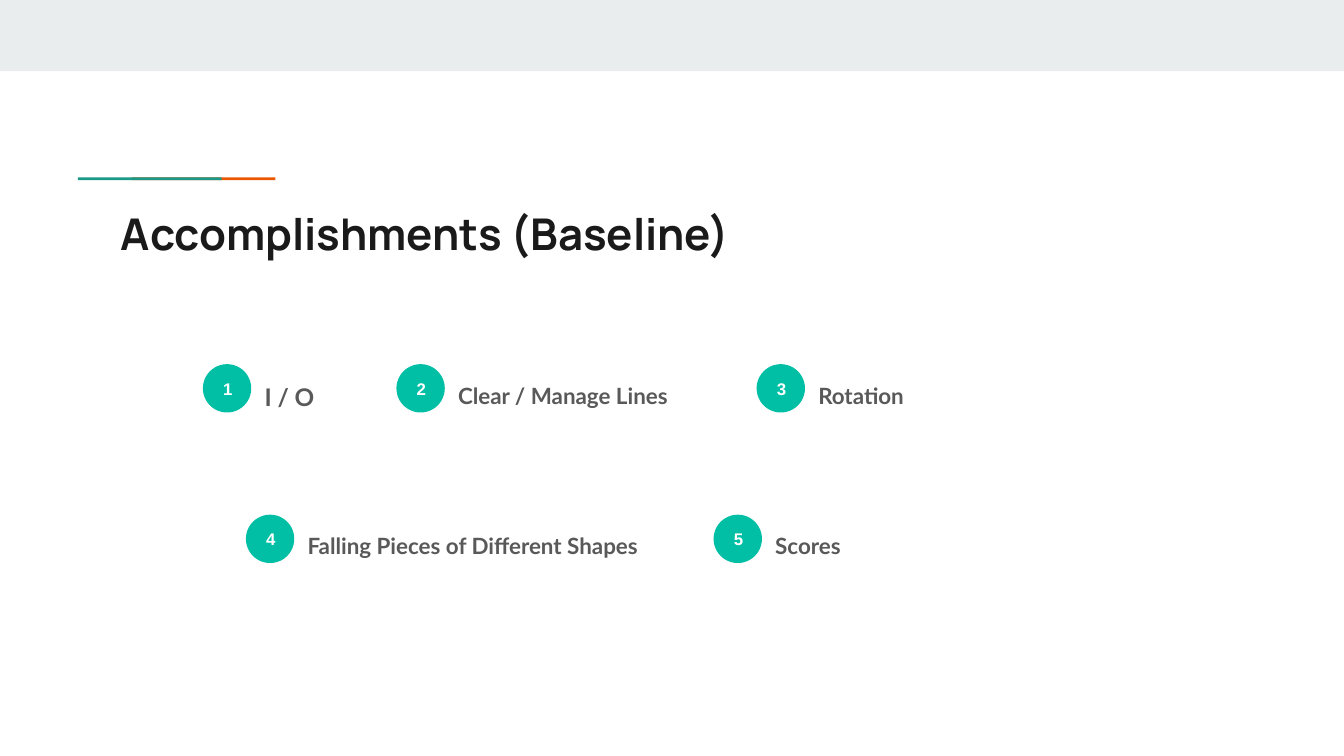
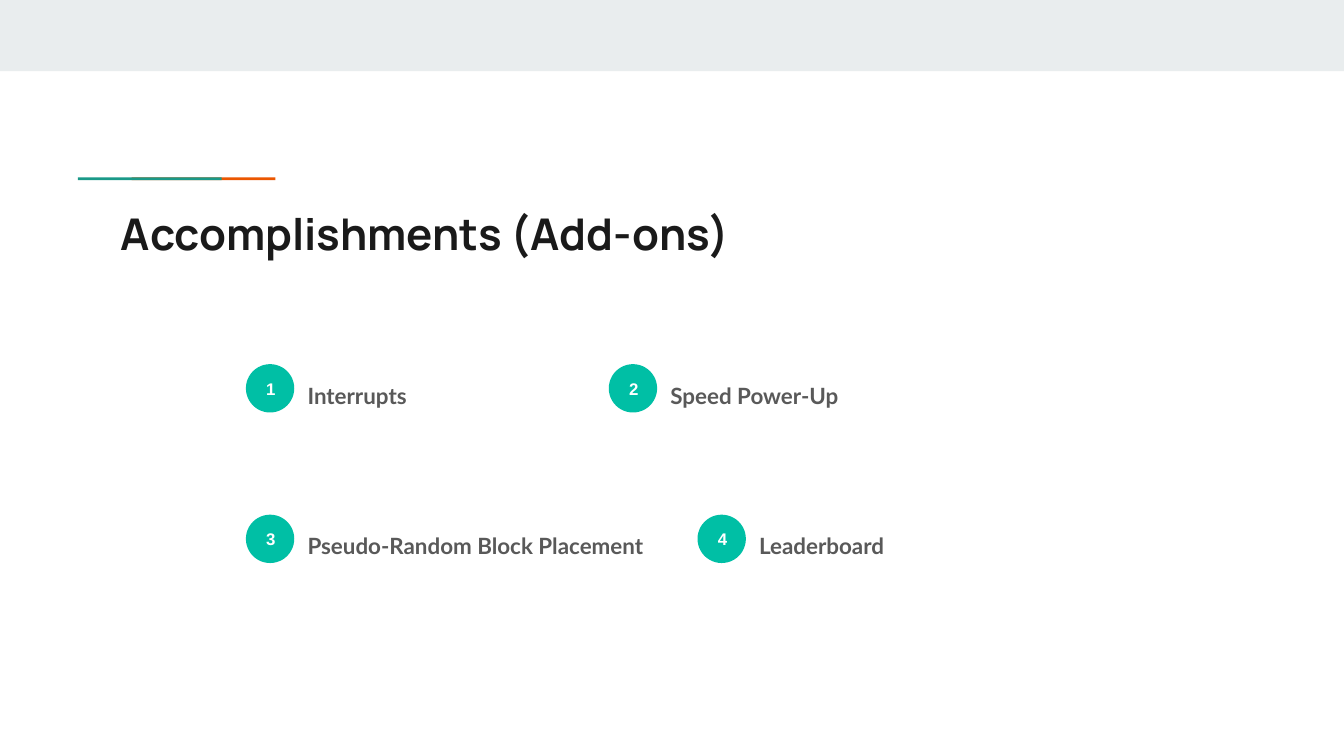
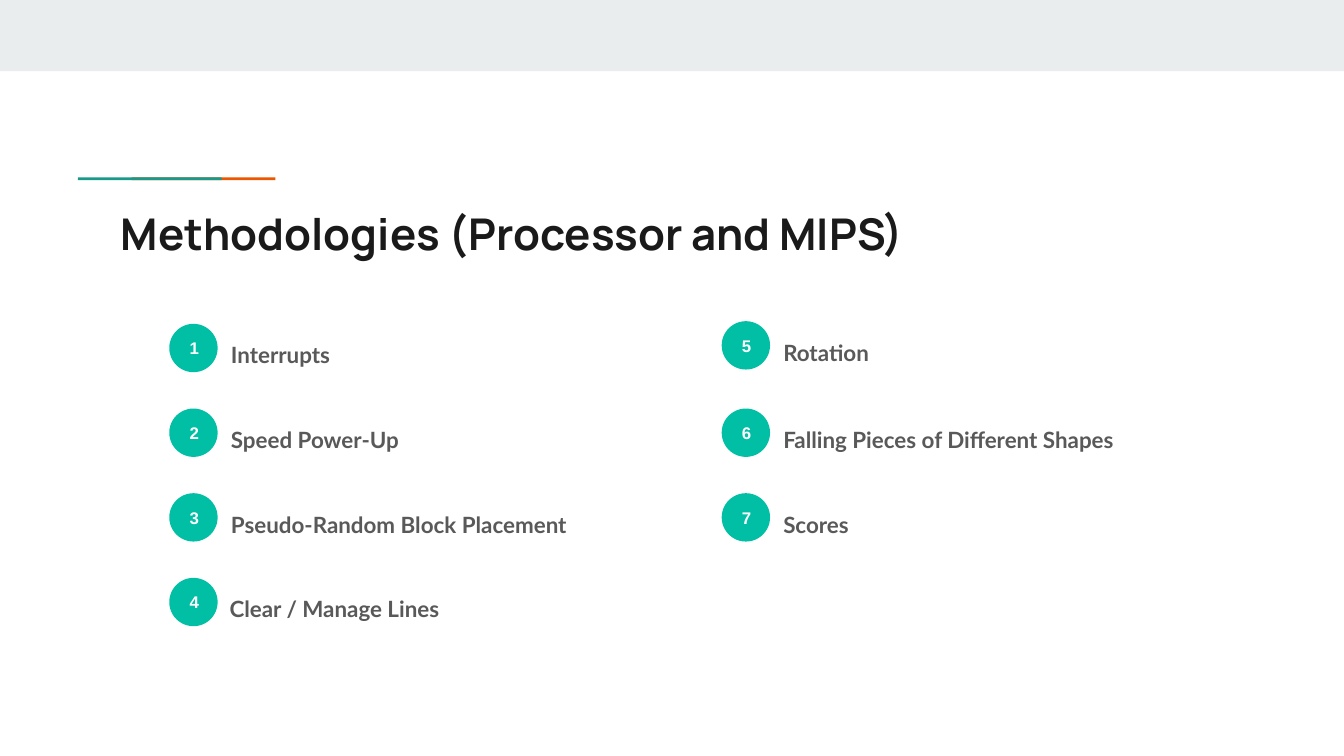
from dataclasses import dataclass

from pptx import Presentation
from pptx.dml.color import RGBColor
from pptx.enum.shapes import MSO_SHAPE
from pptx.enum.text import MSO_ANCHOR, PP_ALIGN
from pptx.util import Inches, Pt


@dataclass(frozen=True)
class Theme:
    band: str = "E9EDEE"
    orange: str = "EB5600"
    teal: str = "1A9988"
    dot: str = "00BFA5"
    white: str = "FFFFFF"
    title: str = "1A1A1A"
    label: str = "595959"
    title_font: str = "Manrope"
    number_font: str = "Arial"
    label_font: str = "Lato"
    title_size: float = 23.4
    number_size: float = 9
    label_size: float = 12
    large_label_size: float = 13


theme = Theme()


def add_filled_shape(slide, kind, left, top, width, height, color):
    shape = slide.shapes.add_shape(kind, Inches(left), Inches(top), Inches(width), Inches(height))
    shape.shadow.inherit = False
    shape.fill.solid()
    shape.fill.fore_color.rgb = RGBColor.from_string(color)
    shape.line.fill.background()
    return shape


def write_text(shape, text, *, font, size, color, align=PP_ALIGN.LEFT,
               anchor=MSO_ANCHOR.TOP, line_spacing=1.0):
    frame = shape.text_frame
    frame.word_wrap = True
    frame.vertical_anchor = anchor
    frame.margin_left = frame.margin_right = Inches(0.1)
    frame.margin_top = frame.margin_bottom = Inches(0.1)
    paragraph = frame.paragraphs[0]
    paragraph.alignment = align
    paragraph.line_spacing = line_spacing
    run = paragraph.add_run()
    run.text = text
    run.font.name = font
    run.font.size = Pt(size)
    run.font.bold = True
    run.font.color.rgb = RGBColor.from_string(color)


DOT_SIZE = 0.36
UPPER_ROW, LOWER_ROW = 2.71, 3.83
LEFT_COLUMN, RIGHT_COLUMN = 1.26, 5.37
LIST_ROWS = [round(2.41 + 0.63 * row, 2) for row in range(4)]

slides_content = [
    ("Accomplishments (Baseline)", [
        ("I / O", 1.51, UPPER_ROW, 1.62, 0.65),
        ("Clear / Manage Lines", 2.95, UPPER_ROW, 2, 0.65),
        ("Rotation", 5.63, UPPER_ROW, 1.74, 0.65),
        ("Falling Pieces of Different Shapes", 1.83, LOWER_ROW, 3.1, 1.15),
        ("Scores", 5.31, LOWER_ROW, 1.74, 0.65),
    ]),
    ("Accomplishments (Add-ons)", [
        ("Interrupts", 1.83, UPPER_ROW, 1.62, 0.65),
        ("Speed Power-Up", 4.53, UPPER_ROW, 1.74, 0.65),
        ("Pseudo-Random Block Placement", 1.83, LOWER_ROW, 3.1, 1.15),
        ("Leaderboard", 5.19, LOWER_ROW, 2, 0.65),
    ]),
    ("Methodologies (Processor and MIPS)", [
        ("Interrupts", LEFT_COLUMN, LIST_ROWS[0], 1.62, 0.65),
        ("Speed Power-Up", LEFT_COLUMN, LIST_ROWS[1], 1.74, 0.65),
        ("Pseudo-Random Block Placement", LEFT_COLUMN, LIST_ROWS[2], 3.1, 1.15),
        ("Clear / Manage Lines", LEFT_COLUMN, LIST_ROWS[3], 2, 0.65, 0.35),
        ("Rotation", RIGHT_COLUMN, 2.39, 1.74, 0.65),
        ("Falling Pieces of Different Shapes", RIGHT_COLUMN, LIST_ROWS[1], 3.1, 1.15),
        ("Scores", RIGHT_COLUMN, LIST_ROWS[2], 1.74, 0.65),
    ]),
]

presentation = Presentation()
presentation.slide_width = Inches(10)
presentation.slide_height = Inches(10 * 9 / 16)

for title, items in slides_content:
    slide = presentation.slides.add_slide(presentation.slide_layouts[6])
    add_filled_shape(slide, MSO_SHAPE.RECTANGLE, 0, 0, 10, 0.53, theme.band)
    for left, color in [(0.98, theme.orange), (0.58, theme.teal)]:
        add_filled_shape(slide, MSO_SHAPE.RECTANGLE, left, 1.32, 1.07, 0.02, color)

    title_box = slide.shapes.add_textbox(Inches(0.8), Inches(1.44), Inches(8.41), Inches(0.59))
    write_text(title_box, title, font=theme.title_font, size=theme.title_size, color=theme.title)

    for number, (label, left, top, width, height, *offset) in enumerate(items, start=1):
        dot = add_filled_shape(slide, MSO_SHAPE.OVAL, left, top, DOT_SIZE, DOT_SIZE, theme.dot)
        write_text(dot, str(number), font=theme.number_font, size=theme.number_size,
                   color=theme.white, align=PP_ALIGN.CENTER, anchor=MSO_ANCHOR.MIDDLE)
        label_left = left + (offset[0] if offset else DOT_SIZE)
        label_box = slide.shapes.add_textbox(
            Inches(label_left), Inches(top), Inches(width), Inches(height))
        label_size = theme.large_label_size if label == "I / O" else theme.label_size
        write_text(label_box, label, font=theme.label_font, size=label_size,
                   color=theme.label, line_spacing=1.15)

presentation.save("out.pptx")
